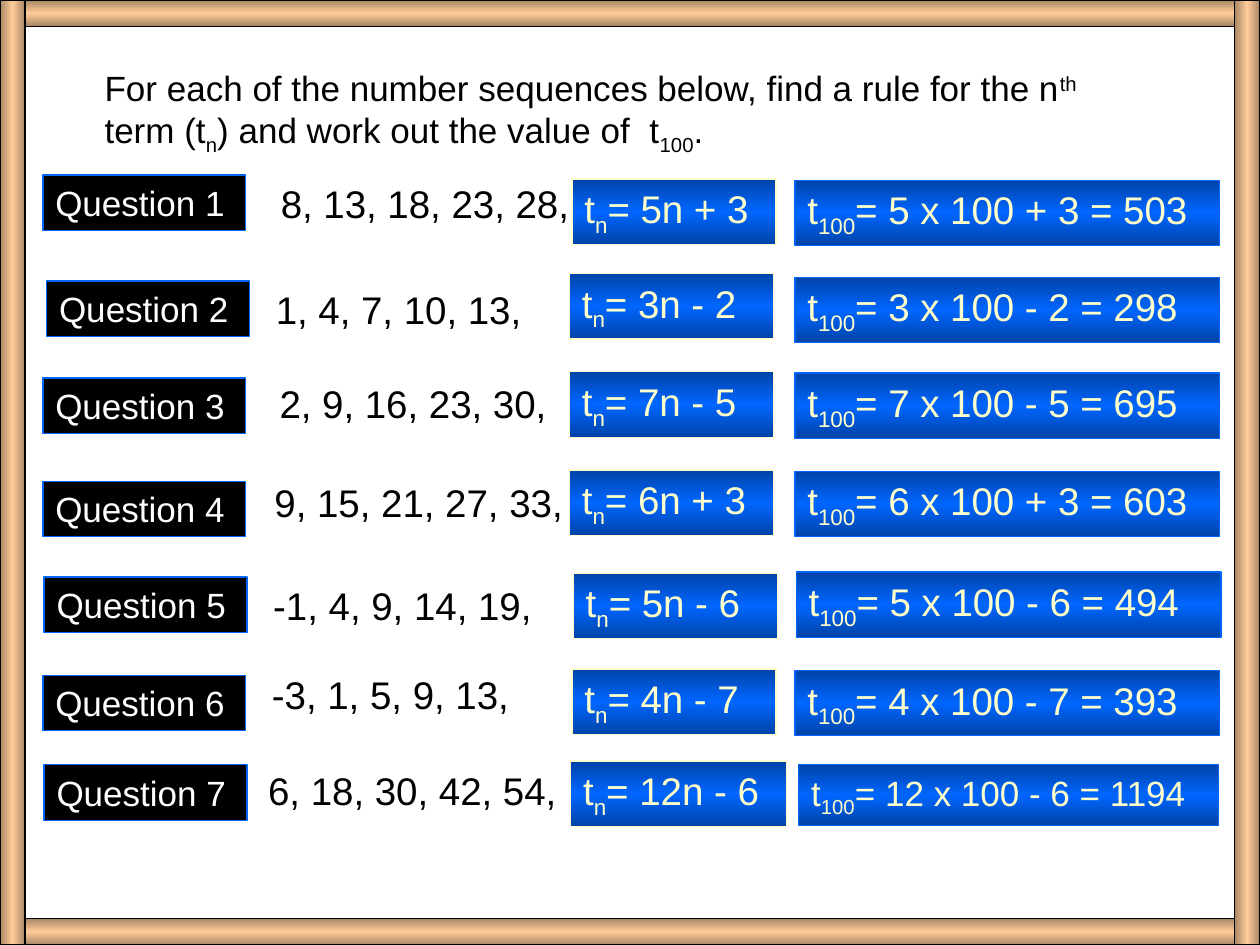
from copy import deepcopy
from dataclasses import dataclass

from pptx import Presentation
from pptx.dml.color import RGBColor
from pptx.enum.shapes import MSO_SHAPE
from pptx.enum.text import MSO_ANCHOR, MSO_AUTO_SIZE, PP_ALIGN
from pptx.oxml.ns import qn
from pptx.shapes.autoshape import Shape
from pptx.slide import Slide
from pptx.util import Inches, Pt

BLACK, WHITE, CREAM, BLUE = "000000", "FFFFFF", "FFFFCC", "0066FF"
BLUE_BAND = ("0043A8", BLUE)
WOOD_BAND = ("A88665", "FFCC99")
SUBSCRIPT, SUPERSCRIPT = -25, 30

Position = tuple[float, float]
Box = tuple[float, float, float, float]
Piece = tuple[str, int]  # text and its baseline shift in percent


@dataclass
class Question:
    """A sequence step * n + offset, with the left and top of its four boxes."""
    step: int
    offset: int
    label: Position
    terms: Position
    rule: Position
    answer: Position
    rule_width: float = 1.62
    answer_size: Position = (3.37, 0.52)
    answer_points: int = 22

    def value(self, n: int) -> int:
        return self.step * n + self.offset

    def offset_text(self) -> str:
        return f"{'+' if self.offset > 0 else '-'} {abs(self.offset)}"


QUESTIONS = [
    Question(5, 3, (0.34, 1.39), (2.13, 1.38), (4.54, 1.42), (6.31, 1.43)),
    Question(3, -2, (0.37, 2.23), (2.09, 2.22), (4.52, 2.17), (6.31, 2.2)),
    Question(7, -5, (0.34, 3), (2.12, 2.97), (4.52, 2.95), (6.31, 2.96)),
    Question(6, 3, (0.34, 3.82), (2.08, 3.75), (4.52, 3.73), (6.31, 3.74)),
    Question(5, -6, (0.35, 4.58), (2.07, 4.57), (4.55, 4.55), (6.32, 4.54)),
    Question(4, -7, (0.34, 5.36), (2.06, 5.28), (4.54, 5.31), (6.31, 5.32)),
    Question(12, -6, (0.35, 6.07), (2.03, 6.04), (4.53, 6.04), (6.34, 6.07),
             rule_width=1.71, answer_size=(3.33, 0.48), answer_points=20),
]


def rgb(value: str) -> RGBColor:
    return RGBColor.from_string(value)


def write(shape: Shape, pieces: list[Piece], points: int, color: str) -> None:
    frame = shape.text_frame
    frame.word_wrap = True
    frame.auto_size = MSO_AUTO_SIZE.NONE
    frame.vertical_anchor = MSO_ANCHOR.TOP
    para = frame.paragraphs[0]
    para.alignment = PP_ALIGN.LEFT
    para.font.name = "Arial"
    para.font.size = Pt(points)
    para.font.color.rgb = rgb(color)
    for text, shift in pieces:
        span = para.add_run()
        span.text = text
        if shift:
            span.font._element.set("baseline", str(shift * 1000))


def add_rectangle(page: Slide, box: Box, line: str) -> Shape:
    shape = page.shapes.add_shape(MSO_SHAPE.RECTANGLE, *map(Inches, box))
    shape.shadow.inherit = False
    shape.line.color.rgb = rgb(line)
    shape.line.width = Pt(0.75)
    return shape


def add_band(page: Slide, box: Box, colors: tuple[str, str], line: str,
             angle: int = 90) -> Shape:
    """Add a rectangle shaded from edge colour to middle colour and back."""
    shape = add_rectangle(page, box, line)
    shape.fill.gradient()
    stop_list = shape._element.spPr.find(qn("a:gradFill")).find(qn("a:gsLst"))
    stop_list.insert(1, deepcopy(stop_list[0]))
    edge, middle = colors
    for stop, position, color in zip(shape.fill.gradient_stops, (0, 0.5, 1),
                                     (edge, middle, edge)):
        stop.position = position
        stop.color.rgb = rgb(color)
    shape.fill.gradient_angle = angle
    return shape


def add_question(page: Slide, number: int, question: Question) -> None:
    label = add_rectangle(page, (*question.label, 1.61, 0.44), BLUE)
    label.fill.solid()
    label.fill.fore_color.rgb = rgb(BLACK)
    write(label, [(f"Question {number}", 0)], 20, WHITE)

    terms = page.shapes.add_textbox(*map(Inches, (*question.terms, 2.82, 0.47)))
    sequence = " ".join(f"{question.value(n)}," for n in range(1, 6))
    write(terms, [(sequence, 0)], 22, BLACK)

    rule = add_band(page, (*question.rule, question.rule_width, 0.52),
                    BLUE_BAND, CREAM)
    write(rule, [("t", 0), ("n", SUBSCRIPT),
                 (f"= {question.step}n {question.offset_text()}", 0)], 22, CREAM)

    answer = add_band(page, (*question.answer, *question.answer_size),
                      BLUE_BAND, BLUE)
    working = f"= {question.step} x 100 {question.offset_text()} = {question.value(100)}"
    write(answer, [("t", 0), ("100", SUBSCRIPT), (working, 0)],
          question.answer_points, CREAM)


def add_instruction(page: Slide) -> None:
    title = page.shapes.title
    title.left, title.top, title.width, title.height = map(
        Inches, (0.73, 0.48, 8.48, 0.82))
    write(title, [
        ("For each of the number sequences below, find a rule for the n", 0),
        ("th", SUPERSCRIPT), (" term (t", 0), ("n", SUBSCRIPT),
        (") and work out the value of  t", 0), ("100", SUBSCRIPT), (".", 0),
    ], 20, BLACK)


def add_frame(page: Slide) -> None:
    for top in (0, 7.29):
        add_band(page, (0, top, 10, 0.21), WOOD_BAND, BLACK)
    for left in (0, 9.8):
        add_band(page, (left, 0, 0.2, 7.5), WOOD_BAND, BLACK, angle=180)


def main() -> None:
    deck = Presentation()
    deck.slide_width, deck.slide_height = Inches(10), Inches(7.5)
    page = deck.slides.add_slide(deck.slide_layouts.get_by_name("Title Only"))
    add_instruction(page)
    for number, question in enumerate(QUESTIONS, start=1):
        add_question(page, number, question)
    add_frame(page)
    deck.save("out.pptx")


if __name__ == "__main__":
    main()
